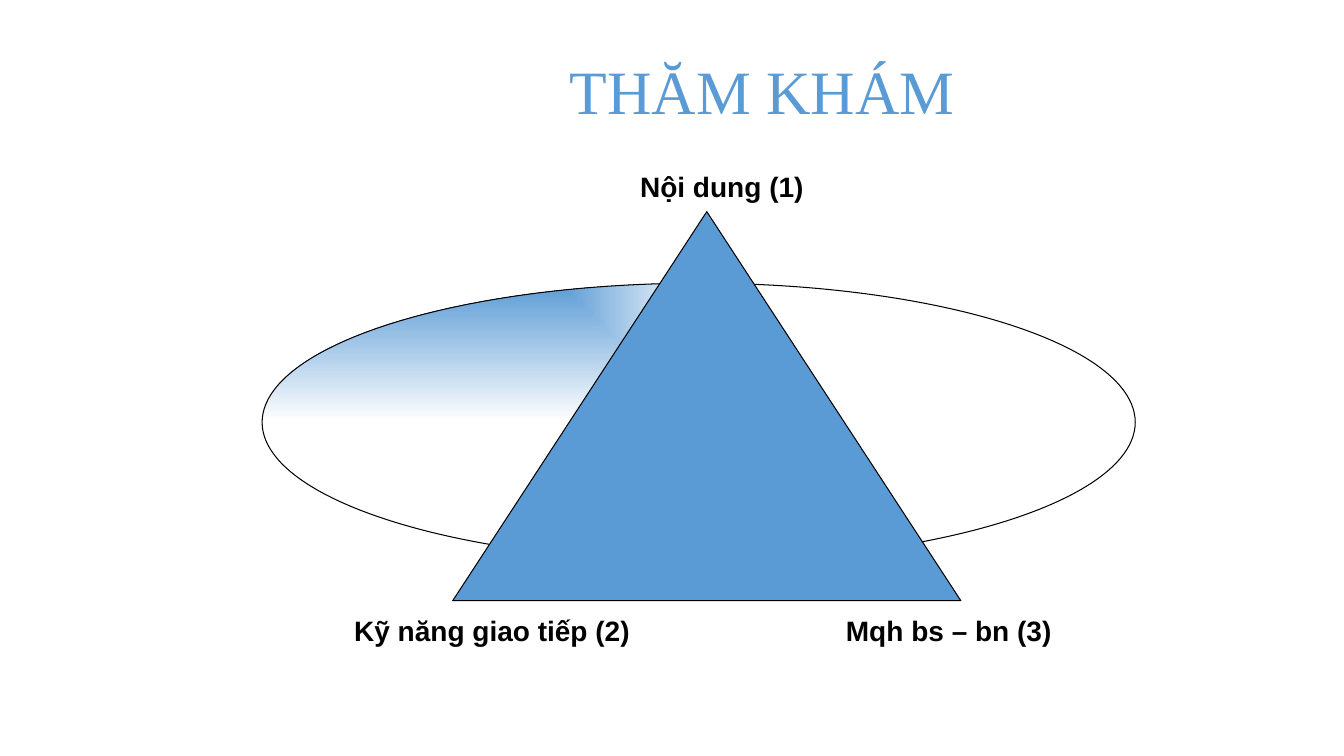
from lxml import etree
from pptx import Presentation, util as u
from pptx.dml.color import RGBColor as Rgb
from pptx.enum import shapes as sh, text as tx
from pptx.oxml import parse_xml
from pptx.oxml.ns import qn

theme = {
    "blue": Rgb.from_string("5B9BD5"),
    "white": Rgb.from_string("FFFFFF"),
    "black": Rgb.from_string("000000"),
    "serif": "Times New Roman",
    "sans": "Arial",
    "head": u.Pt(44),
    "label": u.Pt(20),
    "line": u.Pt(0.75),
}


def write(frame, words, font, size, color, bold):
    frame.word_wrap = True
    para = frame.paragraphs[0]
    para.alignment = tx.PP_ALIGN.CENTER
    run = para.add_run()
    run.text = words
    run.font.name = font
    run.font.size = size
    run.font.color.rgb = color
    run.font.bold = bold


def draw(group, kind, *box):
    shape = group.shapes.add_shape(kind, *map(u.Inches, box))
    shape.shadow.inherit = False
    shape.line.color.rgb = theme["black"]
    shape.line.width = theme["line"]
    return shape


deck = Presentation()
deck.slide_width, deck.slide_height = u.Inches(13.33), u.Inches(7.5)
slide = deck.slides.add_slide(deck.slide_layouts[5])

# Title
title = slide.shapes.title
title.left, title.top = u.Inches(2), u.Inches(0.35)
title.width, title.height = u.Inches(11.12), u.Inches(1.08)
title.text_frame.vertical_anchor = tx.MSO_ANCHOR.MIDDLE
write(title.text_frame, "THĂM KHÁM", theme["serif"], theme["head"],
      theme["blue"], False)

# Corner labels
group = slide.shapes.add_group_shape()
labels = [
    ("Nội dung (1)", 4.72, 1.63),
    ("Kỹ năng giao tiếp (2)", 2.44, 6.04),
    ("Mqh bs – bn (3)", 6.97, 6.04),
]
for words, left, top in labels:
    box = group.shapes.add_textbox(*map(u.Inches, (left, top, 4.88, 0.43)))
    write(box.text_frame, words, theme["sans"], theme["label"],
          theme["black"], True)
    box.text_frame.auto_size = tx.MSO_AUTO_SIZE.SHAPE_TO_FIT_TEXT

# Ellipse, shaded from its top left corner
oval = draw(group, sh.MSO_SHAPE.OVAL, 2.6, 2.81, 8.66, 2.76)
oval.fill.gradient()
for stop, spot, color in zip(oval.fill.gradient_stops, (0, 1),
                             (theme["blue"], theme["white"])):
    stop.position = spot
    stop.color.rgb = color
grad = oval.element.spPr.find(qn("a:gradFill"))
grad.remove(grad.find(qn("a:lin")))
shade = etree.SubElement(grad, qn("a:path"), path="rect")
etree.SubElement(shade, qn("a:fillToRect"), r="100000", b="100000")

# Triangle
peak = draw(group, sh.MSO_SHAPE.ISOSCELES_TRIANGLE, 4.49, 2.1, 5.04, 3.86)
peak.fill.solid()
peak.fill.fore_color.rgb = theme["blue"]

deck.save("out.pptx")
